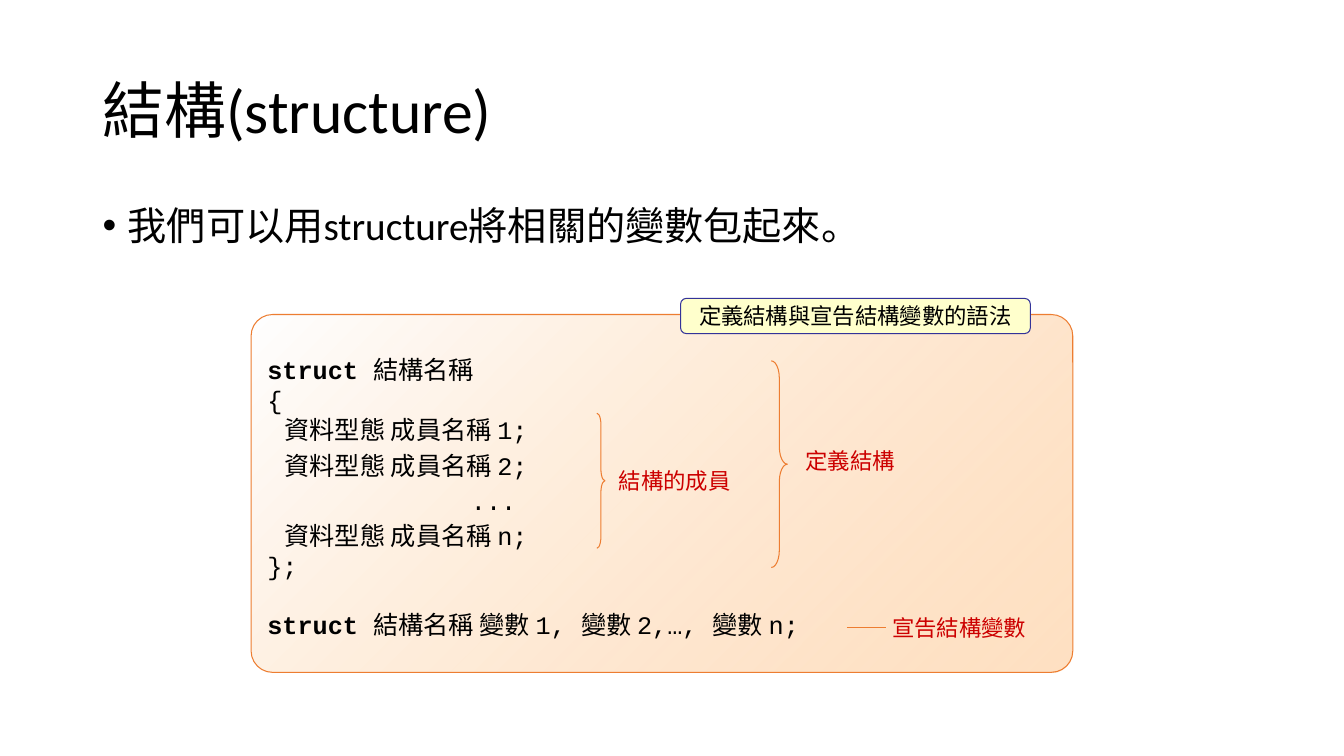
from lxml import etree
from pptx import Presentation
from pptx.dml.color import RGBColor
from pptx.enum.shapes import MSO_CONNECTOR, MSO_SHAPE
from pptx.enum.text import MSO_ANCHOR, PP_ALIGN
from pptx.oxml.ns import qn
from pptx.util import Inches, Pt

COLORS = {
    "text": "000000",
    "accent": "ED7D31",
    "label": "CC0000",
    "panel_start": "FFFFFF",
    "panel_end": "FFCC99",
    "badge_fill": "FFFFCC",
    "badge_line": "333399",
}
SANS, CODE, CJK = "Calibri", "Courier New", "Noto Sans CJK JP"

MEMBER_INDENT = 0.17
CODE_LINES = [
    ("struct ", "結構名稱", 0, 0, 0),
    ("", "{", 0, 0, 0),
    ("", "資料型態 成員名稱 1;", MEMBER_INDENT, 0, 3.6),
    ("", "資料型態 成員名稱 2;", MEMBER_INDENT, 0, 3.6),
    ("", "...", 2.02, 0, 3.6),
    ("", "資料型態 成員名稱 n;", MEMBER_INDENT, 0, 0),
    ("", "};", 0, 0, 0),
    ("struct ", "結構名稱 變數 1, 變數 2,…, 變數 n;", 0, 20.4, 0),
]


def color(name):
    return RGBColor.from_string(COLORS[name])


def box(left, top, width, height):
    return [Inches(value) for value in (left, top, width, height)]


def style_run(run, size, font, ink="text", bold=False):
    run.font.size = Pt(size)
    run.font.name = font
    run.font.bold = bold
    run.font.color.rgb = color(ink)


def set_indent(paragraph, left, first=0):
    properties = paragraph._p.get_or_add_pPr()
    properties.set("marL", str(Inches(left)))
    properties.set("indent", str(Inches(first)))
    return properties


def add_title(slide, text):
    title = slide.shapes.title
    title.left, title.top, title.width, title.height = box(0.92, 0.4, 11.5, 1.45)
    frame = title.text_frame
    frame.text = text
    frame.vertical_anchor = MSO_ANCHOR.MIDDLE
    paragraph = frame.paragraphs[0]
    paragraph.alignment = PP_ALIGN.LEFT
    paragraph.line_spacing = 0.9
    style_run(paragraph.runs[0], 44, SANS)


def add_bullet(slide, text):
    frame = slide.shapes.add_textbox(*box(0.92, 2, 11.5, 4.76)).text_frame
    frame.word_wrap = True
    frame.text = text
    paragraph = frame.paragraphs[0]
    paragraph.line_spacing = 0.9
    paragraph.space_before = Pt(10)
    properties = set_indent(paragraph, 0.25, -0.25)
    etree.SubElement(properties, qn("a:buFont"), typeface="Arial")
    etree.SubElement(properties, qn("a:buChar"), char="•")
    style_run(paragraph.runs[0], 28, SANS)


def add_outline(slide, preset, place, adjustment, line):
    shape = slide.shapes.add_shape(preset, *box(*place))
    shape.adjustments[0] = adjustment
    shape.shadow.inherit = False
    shape.line.color.rgb = color(line)
    shape.line.width = Pt(0.75)
    return shape


def fill_panel(panel):
    panel.fill.gradient()
    panel.fill.gradient_angle = 315
    stops = panel.fill.gradient_stops
    for stop, position, name in zip(stops, (0, 1), ("panel_start", "panel_end")):
        stop.position = position
        stop.color.rgb = color(name)
    end_color = panel._element.spPr.findall(".//" + qn("a:gs"))[-1][0]
    etree.SubElement(end_color, qn("a:alpha"), val="59000")


def add_code_panel(slide):
    panel = add_outline(slide, MSO_SHAPE.ROUNDED_RECTANGLE,
                        (2.49, 3.12, 8.15, 3.55), 0.06, "accent")
    fill_panel(panel)
    frame = panel.text_frame
    frame.word_wrap = True
    frame.vertical_anchor = MSO_ANCHOR.MIDDLE
    frame.margin_top = Inches(0.12)
    for index, (keyword, rest, indent, before, after) in enumerate(CODE_LINES):
        paragraph = frame.add_paragraph() if index else frame.paragraphs[0]
        paragraph.alignment = PP_ALIGN.LEFT
        paragraph.space_before = Pt(before)
        paragraph.space_after = Pt(after)
        set_indent(paragraph, indent)
        for text, bold in ((keyword, True), (rest, False)):
            if text:
                run = paragraph.add_run()
                run.text = text
                style_run(run, 18, CODE, bold=bold)


def add_badge(slide, text):
    badge = add_outline(slide, MSO_SHAPE.ROUNDED_RECTANGLE,
                        (6.75, 2.96, 3.47, 0.35), 0.167, "badge_line")
    badge.fill.solid()
    badge.fill.fore_color.rgb = color("badge_fill")
    frame = badge.text_frame
    frame.word_wrap = False
    frame.vertical_anchor = MSO_ANCHOR.MIDDLE
    frame.text = text
    frame.paragraphs[0].alignment = PP_ALIGN.CENTER
    style_run(frame.paragraphs[0].runs[0], 16, CJK)


def add_brace(slide, place, curve):
    add_outline(slide, MSO_SHAPE.RIGHT_BRACE, place, curve, "accent").fill.background()


def add_label(slide, text, left, top, width):
    frame = slide.shapes.add_textbox(*box(left, top, width, 0.37)).text_frame
    frame.word_wrap = False
    frame.vertical_anchor = MSO_ANCHOR.MIDDLE
    frame.text = text
    style_run(frame.paragraphs[0].runs[0], 16, SANS, "label")


def add_leader(slide, start, end, y):
    leader = slide.shapes.add_connector(
        MSO_CONNECTOR.STRAIGHT, Inches(start), Inches(y), Inches(end), Inches(y))
    leader.line.color.rgb = color("accent")
    leader.line.width = Pt(0.75)
    etree.SubElement(leader._element.spPr, qn("a:effectLst"))


def main():
    deck = Presentation()
    deck.slide_width, deck.slide_height = Inches(13.33), Inches(7.5)
    slide = deck.slides.add_slide(deck.slide_layouts[5])
    add_title(slide, "結構(structure)")
    add_bullet(slide, "我們可以用structure將相關的變數包起來。")
    add_code_panel(slide)
    add_badge(slide, "定義結構與宣告結構變數的語法")
    add_brace(slide, (5.92, 4.1, 0.08, 1.34), 1.43)
    add_label(slide, "結構的成員", 6.04, 4.58, 1.31)
    add_brace(slide, (7.65, 3.58, 0.16, 2.05), 1.08)
    add_label(slide, "定義結構", 7.89, 4.38, 1.09)
    add_leader(slide, 8.4, 8.79, 6.23)
    add_label(slide, "宣告結構變數", 8.75, 6.04, 1.53)
    deck.save("out.pptx")


if __name__ == "__main__":
    main()
